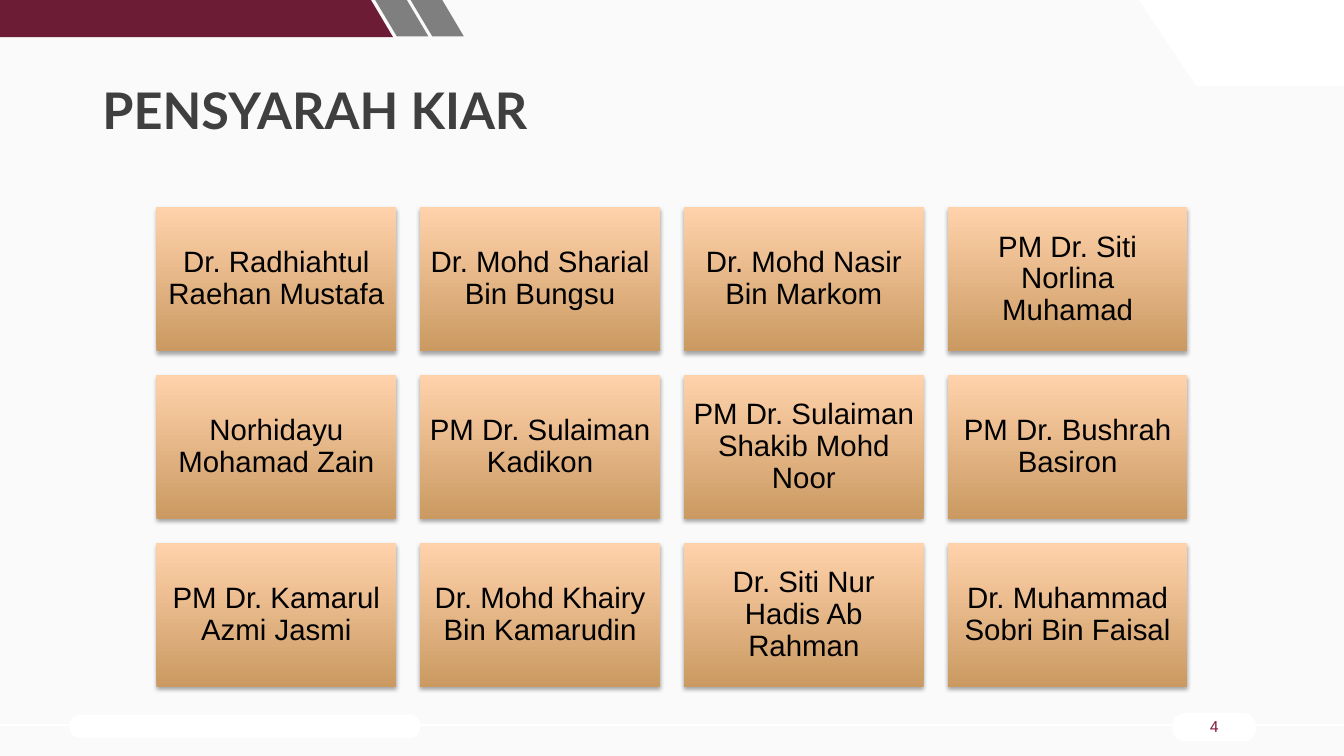
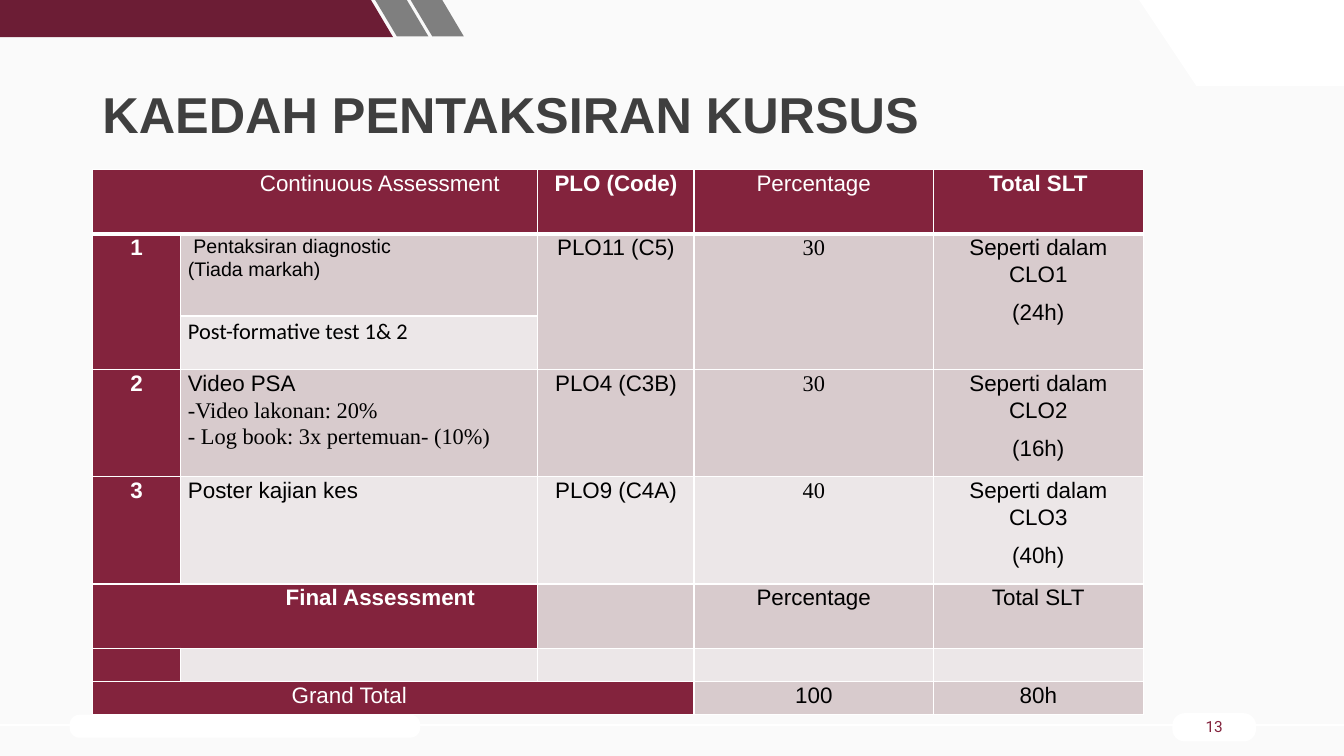
from dataclasses import dataclass

from lxml.etree import SubElement
from pptx import Presentation
from pptx.dml.color import RGBColor
from pptx.enum.shapes import MSO_CONNECTOR, MSO_SHAPE
from pptx.enum.text import MSO_ANCHOR, MSO_AUTO_SIZE, PP_ALIGN
from pptx.oxml.ns import qn
from pptx.util import Pt


@dataclass(frozen=True)
class Theme:
    """Colours, fonts and type sizes of the deck."""
    background: RGBColor = RGBColor(0xFA, 0xFA, 0xFA)
    white: RGBColor = RGBColor(0xFF, 0xFF, 0xFF)
    black: RGBColor = RGBColor(0, 0, 0)
    maroon: RGBColor = RGBColor(0x6C, 0x1D, 0x35)
    accent: RGBColor = RGBColor(0x83, 0x23, 0x3D)
    gray: RGBColor = RGBColor(0x7F, 0x7F, 0x7F)
    title_color: RGBColor = RGBColor(0x3F, 0x3F, 0x3F)
    card_bottom: RGBColor = RGBColor(0xCB, 0x9A, 0x62)
    card_top: RGBColor = RGBColor(0xFF, 0xD2, 0xAB)
    band_dark: RGBColor = RGBColor(0xD8, 0xCB, 0xCD)
    band_light: RGBColor = RGBColor(0xEC, 0xE7, 0xE8)
    body_font: str = "Arial"
    serif_font: str = "Times New Roman"
    sans_font: str = "Calibri"
    heading_font: str = "Lato"
    number_font: str = "Roboto"
    title_size: int = 36
    card_size: int = 21
    table_size: int = 16
    small_size: int = 14
    number_size: int = 11


THEME = Theme()


@dataclass(frozen=True)
class Line:
    """One paragraph of a table cell."""
    text: str
    font: str = THEME.body_font
    size: int = THEME.table_size
    bold: bool = False
    before: int = 0
    indent: float = 0


class Deck:
    """Draws styled elements on the current slide."""

    def __init__(self, theme):
        """Start an empty wide presentation."""
        self.theme = theme
        self.presentation = Presentation()
        self.presentation.slide_width = Pt(960)
        self.presentation.slide_height = Pt(540)
        fill = self.presentation.slide_master.background.fill
        fill.solid()
        fill.fore_color.rgb = theme.background
        self.slide = None

    def add_slide(self, title, title_font, line_spacing, number):
        """Add a slide with its title, bands and footer."""
        layout = self.presentation.slide_layouts[5]
        self.slide = self.presentation.slides.add_slide(layout)
        self.footer(number)
        self.bands()
        self.title(title, title_font, line_spacing)

    def title(self, text, font, line_spacing):
        """Place and format the title placeholder."""
        shape = self.slide.shapes.title
        shape.left, shape.top = Pt(66), Pt(28.8)
        shape.width, shape.height = Pt(828), Pt(104)
        frame = shape.text_frame
        frame.text = text
        frame.auto_size = MSO_AUTO_SIZE.NONE
        frame.vertical_anchor = MSO_ANCHOR.MIDDLE
        self.style(frame.paragraphs[0], font, self.theme.title_size,
                   self.theme.title_color, True, PP_ALIGN.LEFT, line_spacing)

    def bands(self):
        """Draw the slanted bands along the top edge."""
        theme = self.theme
        self.polygon([(813.6, 0), (960, 0), (960, 61.5), (854.6, 61.5)], theme.white)
        self.polygon([(0, 0), (265, 0), (280.8, 26.6), (0, 26.6)], theme.maroon)
        for left in (268, 293.3):
            self.polygon([(left, 0), (left + 22.6, 0), (left + 38, 26), (left + 15.5, 26)],
                         theme.gray)

    def footer(self, number):
        """Draw the footer line, its pills and the slide number."""
        theme = self.theme
        self.pill(49.7, 510.5, 250.5, 16.5)
        self.rule(518)
        frame = self.pill(837.4, 509.4, 59.8, 20.2).text_frame
        frame.margin_top = frame.margin_bottom = 0
        frame.vertical_anchor = MSO_ANCHOR.MIDDLE
        frame.text = number
        self.style(frame.paragraphs[0], theme.number_font, theme.number_size,
                   theme.accent, False, PP_ALIGN.CENTER, 0.9)

    def pill(self, left, top, width, height):
        """Add a white rounded bar."""
        shape = self.slide.shapes.add_shape(
            MSO_SHAPE.ROUNDED_RECTANGLE, Pt(left), Pt(top), Pt(width), Pt(height))
        shape.adjustments[0] = 0.44
        self.paint(shape, self.theme.white)
        return shape

    def rule(self, top):
        """Add a white line across the slide."""
        connector = self.slide.shapes.add_connector(
            MSO_CONNECTOR.STRAIGHT, 0, Pt(top), Pt(960), Pt(top))
        connector.line.color.rgb = self.theme.white
        connector.line.width = Pt(1.5)
        SubElement(connector._element.spPr, qn("a:effectLst"))

    def polygon(self, points, color):
        """Add a filled outline through the given points."""
        corners = [(Pt(x), Pt(y)) for x, y in points]
        builder = self.slide.shapes.build_freeform(*corners[0])
        builder.add_line_segments(corners[1:], close=True)
        self.paint(builder.convert_to_shape(), color)

    def card(self, text, left, top, width, height):
        """Add a gradient card with a soft shadow and centred text."""
        theme = self.theme
        shape = self.slide.shapes.add_shape(
            MSO_SHAPE.RECTANGLE, Pt(left), Pt(top), Pt(width), Pt(height))
        shape.fill.gradient()
        shape.fill.gradient_angle = 90
        colors = (theme.card_bottom, theme.card_top)
        for position, (stop, color) in enumerate(zip(shape.fill.gradient_stops, colors)):
            stop.position = position
            stop.color.rgb = color
        shape.line.fill.background()
        self.soft_shadow(shape)
        frame = shape.text_frame
        frame.word_wrap = True
        frame.vertical_anchor = MSO_ANCHOR.MIDDLE
        frame.margin_left = frame.margin_right = Pt(6.4)
        frame.margin_top = frame.margin_bottom = Pt(6.4)
        frame.text = text
        self.style(frame.paragraphs[0], theme.body_font, theme.card_size,
                   theme.black, False, PP_ALIGN.CENTER, 0.9)

    def table(self, left, top, widths, heights, rows, merges):
        """Add a table whose first row and column carry the accent colour."""
        theme = self.theme
        table = self.slide.shapes.add_table(
            len(heights), len(widths), Pt(left), Pt(top),
            Pt(sum(widths)), Pt(sum(heights))).table
        for column, width in zip(table.columns, widths):
            column.width = Pt(width)
        for row, height in zip(table.rows, heights):
            row.height = Pt(height)
        for first, last in merges:
            table.cell(*first).merge(table.cell(*last))
        for row, entries in enumerate(rows):
            for column, lines in enumerate(entries):
                cell = table.cell(row, column)
                accented = row == 0 or column == 0
                band = theme.band_dark if row % 2 else theme.band_light
                self.borders(cell, 3 if row == 1 else 1, 3 if row == 0 else 1)
                cell.fill.solid()
                cell.fill.fore_color.rgb = theme.accent if accented else band
                cell.margin_left = cell.margin_right = Pt(5.4)
                cell.margin_top = cell.margin_bottom = 0
                self.cell_text(cell, lines, theme.white if accented else theme.black,
                               PP_ALIGN.LEFT if column == 1 else PP_ALIGN.CENTER)

    def cell_text(self, cell, lines, color, alignment):
        """Write the lines of one table cell."""
        if cell.is_spanned:
            return
        frame = cell.text_frame
        for index, line in enumerate(lines or [Line("")]):
            paragraph = frame.add_paragraph() if index else frame.paragraphs[0]
            paragraph.text = line.text
            self.style(paragraph, line.font, line.size, color, line.bold,
                       PP_ALIGN.LEFT if line.indent else alignment, 1.07)
            if line.before:
                paragraph.space_before = Pt(line.before)
            if line.indent:
                paragraph._p.get_or_add_pPr().set("marL", str(Pt(line.indent)))

    def borders(self, cell, top_width, bottom_width):
        """Give a cell white borders."""
        properties = cell._tc.get_or_add_tcPr()
        widths = {"a:lnL": 1, "a:lnR": 1, "a:lnT": top_width, "a:lnB": bottom_width}
        for tag, width in widths.items():
            line = SubElement(properties, qn(tag), w=str(Pt(width)))
            fill = SubElement(line, qn("a:solidFill"))
            SubElement(fill, qn("a:srgbClr"), val=str(self.theme.white))

    @staticmethod
    def soft_shadow(shape):
        """Put a light shadow below a shape."""
        shape.shadow.inherit = False
        effects = shape._element.spPr.find(qn("a:effectLst"))
        shadow = SubElement(effects, qn("a:outerShdw"), blurRad=str(Pt(3.1)),
                            dist=str(Pt(1.8)), dir="5400000", rotWithShape="0")
        color = SubElement(shadow, qn("a:srgbClr"), val="000000")
        SubElement(color, qn("a:alpha"), val="35000")

    @staticmethod
    def paint(shape, color):
        """Fill a shape plainly, without line or shadow."""
        shape.shadow.inherit = False
        shape.fill.solid()
        shape.fill.fore_color.rgb = color
        shape.line.fill.background()

    @staticmethod
    def style(paragraph, font, size, color, bold, alignment, line_spacing):
        """Format a whole paragraph."""
        paragraph.alignment = alignment
        paragraph.line_spacing = line_spacing
        paragraph.font.name = font
        paragraph.font.size = Pt(size)
        paragraph.font.bold = bold
        paragraph.font.color.rgb = color


def add_lecturers(deck):
    """Build the slide with the grid of lecturers."""
    deck.add_slide("PENSYARAH KIAR", THEME.heading_font, 0.9, "4")
    lecturers = [
        "Dr. Radhiahtul Raehan Mustafa", "Dr. Mohd Sharial Bin Bungsu",
        "Dr. Mohd Nasir Bin Markom", "PM Dr. Siti Norlina Muhamad",
        "Norhidayu Mohamad Zain", "PM Dr. Sulaiman Kadikon",
        "PM Dr. Sulaiman Shakib Mohd Noor", "PM Dr. Bushrah Basiron",
        "PM Dr. Kamarul Azmi Jasmi", "Dr. Mohd Khairy Bin Kamarudin",
        "Dr. Siti Nur Hadis Ab Rahman", "Dr. Muhammad Sobri Bin Faisal",
    ]
    width, height, gap = 171.3, 102.8, 17.1
    for index, lecturer in enumerate(lecturers):
        row, column = divmod(index, 4)
        deck.card(lecturer, 111.7 + column * (width + gap),
                  148.1 + row * (height + gap), width, height)


def assessment_row(number, description, outcome, percentage, hours):
    """Return the cells of one continuous assessment."""
    return [
        [Line(number, bold=True)], description, [Line(outcome)],
        [Line(percentage, THEME.serif_font)],
        [Line(f"Seperti dalam CLO{number}"), Line(f"({hours})", before=8)],
    ]


def add_assessment(deck):
    """Build the slide with the assessment table."""
    deck.add_slide("KAEDAH PENTAKSIRAN KURSUS", THEME.body_font, 1.0, "13")
    diagnostic = [Line(" Pentaksiran diagnostic", size=THEME.small_size),
                  Line("(Tiada markah)", size=THEME.small_size)]
    video = [Line("Video PSA"), Line("-Video lakonan: 20%", THEME.serif_font),
             Line("- Log book: 3x pertemuan- (10%)", THEME.serif_font)]
    rows = [
        [[Line("Continuous Assessment", indent=114)], [], [Line("PLO (Code)", bold=True)],
         [Line("Percentage")], [Line("Total SLT", bold=True)]],
        assessment_row("1", diagnostic, "PLO11 (C5)", "30", "24h"),
        [[], [Line("Post-formative test 1& 2", THEME.sans_font)], [], [], []],
        assessment_row("2", video, "PLO4 (C3B)", "30", "16h"),
        assessment_row("3", [Line("Poster kajian kes")], "PLO9 (C4A)", "40", "40h"),
        [[Line("Final Assessment", bold=True, indent=132.4)], [], [],
         [Line("Percentage")], [Line("Total SLT")]],
        [[], [], [], [], []],
        [[Line("Grand Total", indent=136.7)], [], [], [Line("100")], [Line("80h")]],
    ]
    merges = [((0, 0), (0, 1)), ((5, 0), (5, 1)), ((7, 0), (7, 2))]
    merges += [((1, column), (2, column)) for column in (0, 2, 3, 4)]
    deck.table(66.3, 120.8, [62.6, 255.3, 111.6, 171, 149.8],
               [46.2, 58.8, 38.4, 76.5, 76.5, 46, 23.6, 23.6],
               rows, merges)


def main():
    """Build and save the presentation."""
    deck = Deck(THEME)
    add_lecturers(deck)
    add_assessment(deck)
    deck.presentation.save("out.pptx")


if __name__ == "__main__":
    main()
